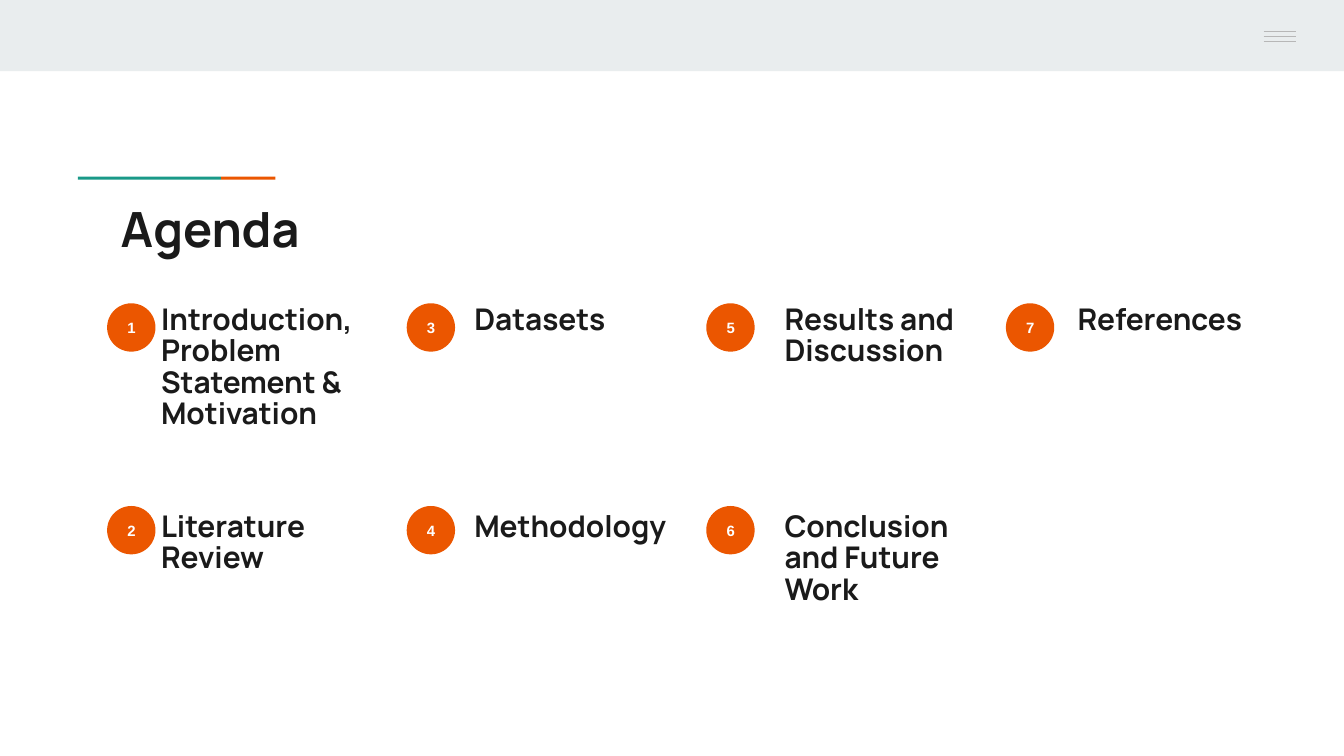
"""Build the agenda slide: seven numbered topics in four columns."""
from dataclasses import dataclass

from lxml.etree import SubElement
from pptx import Presentation
from pptx.dml.color import RGBColor as Color
from pptx.enum.shapes import MSO_CONNECTOR as Connector, MSO_SHAPE as Shape
from pptx.enum.text import MSO_ANCHOR as Anchor, PP_ALIGN as Align
from pptx.oxml.ns import qn
from pptx.util import Pt

TITLE = "Agenda"
COLUMNS = [
    (79.2, ["Introduction, Problem Statement & Motivation", "Literature Review"]),
    (247, ["Datasets", "Methodology"]),
    (413.2, ["Results and Discussion", "Conclusion and Future Work"]),
    (570.2, ["References"]),
]
BADGE_LEFT, BADGE_STEP, BADGE_SIZE = 57.4, 160.5, 25.9
ROWS = [(162.5, 156.2), (271.1, 267.1)]
TOPIC_WIDTH, TOPIC_HEIGHT = 128.2, 30.2
MENU_LEFT, MENU_RIGHT, MENU_TOP, MENU_STEP = 677, 694.3, 17, 2.6


@dataclass(frozen=True)
class Theme:
    ink: str = "1A1A1A"
    white: str = "FFFFFF"
    band: str = "E9EDEE"
    menu: str = "B7B7B7"
    teal: str = "1A9988"
    orange: str = "EB5600"
    heading_font: str = "Manrope"
    badge_font: str = "Arial"
    title_size: float = 26
    topic_size: float = 16
    badge_size: float = 8
    line_spacing: float = 0.88


theme = Theme()


def color(value):
    return Color.from_string(value)


def add_filled(slide, kind, fill, *box):
    filled = slide.shapes.add_shape(kind, *map(Pt, box))
    filled.shadow.inherit = False
    filled.fill.solid()
    filled.fill.fore_color.rgb = color(fill)
    filled.line.fill.background()
    return filled


def add_run(paragraph, text, font, size, ink):
    run = paragraph.add_run()
    run.text = text
    run.font.name = font
    run.font.size = Pt(size)
    run.font.bold = True
    run.font.color.rgb = color(ink)


def add_heading(slide, text, size, *box):
    frame = slide.shapes.add_textbox(*map(Pt, box)).text_frame
    frame.word_wrap = True
    frame.margin_top = frame.margin_bottom = Pt(7.2)
    paragraph = frame.paragraphs[0]
    paragraph.line_spacing = theme.line_spacing
    add_run(paragraph, text, theme.heading_font, size, theme.ink)


def add_badge(slide, number, left, top):
    badge = add_filled(slide, Shape.OVAL, theme.orange, left, top, BADGE_SIZE, BADGE_SIZE)
    frame = badge.text_frame
    frame.margin_top = frame.margin_bottom = Pt(7.2)
    frame.vertical_anchor = Anchor.MIDDLE
    paragraph = frame.paragraphs[0]
    paragraph.alignment = Align.CENTER
    add_run(paragraph, str(number), theme.badge_font, theme.badge_size, theme.white)


def add_menu_line(slide, y):
    bar = slide.shapes.add_connector(
        Connector.STRAIGHT, Pt(MENU_LEFT), Pt(y), Pt(MENU_RIGHT), Pt(y))
    bar.line.color.rgb = color(theme.menu)
    bar.line.width = Pt(0.75)
    SubElement(bar._element.spPr, qn("a:effectLst"))


def main():
    deck = Presentation()
    deck.slide_width, deck.slide_height = Pt(720), Pt(405)
    slide = deck.slides.add_slide(deck.slide_layouts[6])

    add_filled(slide, Shape.RECTANGLE, theme.band, 0, 0, 720, 38.2)
    add_filled(slide, Shape.RECTANGLE, theme.orange, 118.4, 94.7, 29.1, 1.6)
    add_filled(slide, Shape.RECTANGLE, theme.teal, 41.8, 94.7, 76.6, 1.6)
    for index in range(3):
        add_menu_line(slide, MENU_TOP + index * MENU_STEP)

    add_heading(slide, TITLE, theme.title_size, 57.6, 103.7, 605.5, 42.5)
    number = 0
    for column, (topic_left, topics) in enumerate(COLUMNS):
        for topic, (badge_top, topic_top) in zip(topics, ROWS):
            number += 1
            add_badge(slide, number, BADGE_LEFT + column * BADGE_STEP, badge_top)
            add_heading(slide, topic, theme.topic_size,
                        topic_left, topic_top, TOPIC_WIDTH, TOPIC_HEIGHT)

    deck.save("out.pptx")


if __name__ == "__main__":
    main()
